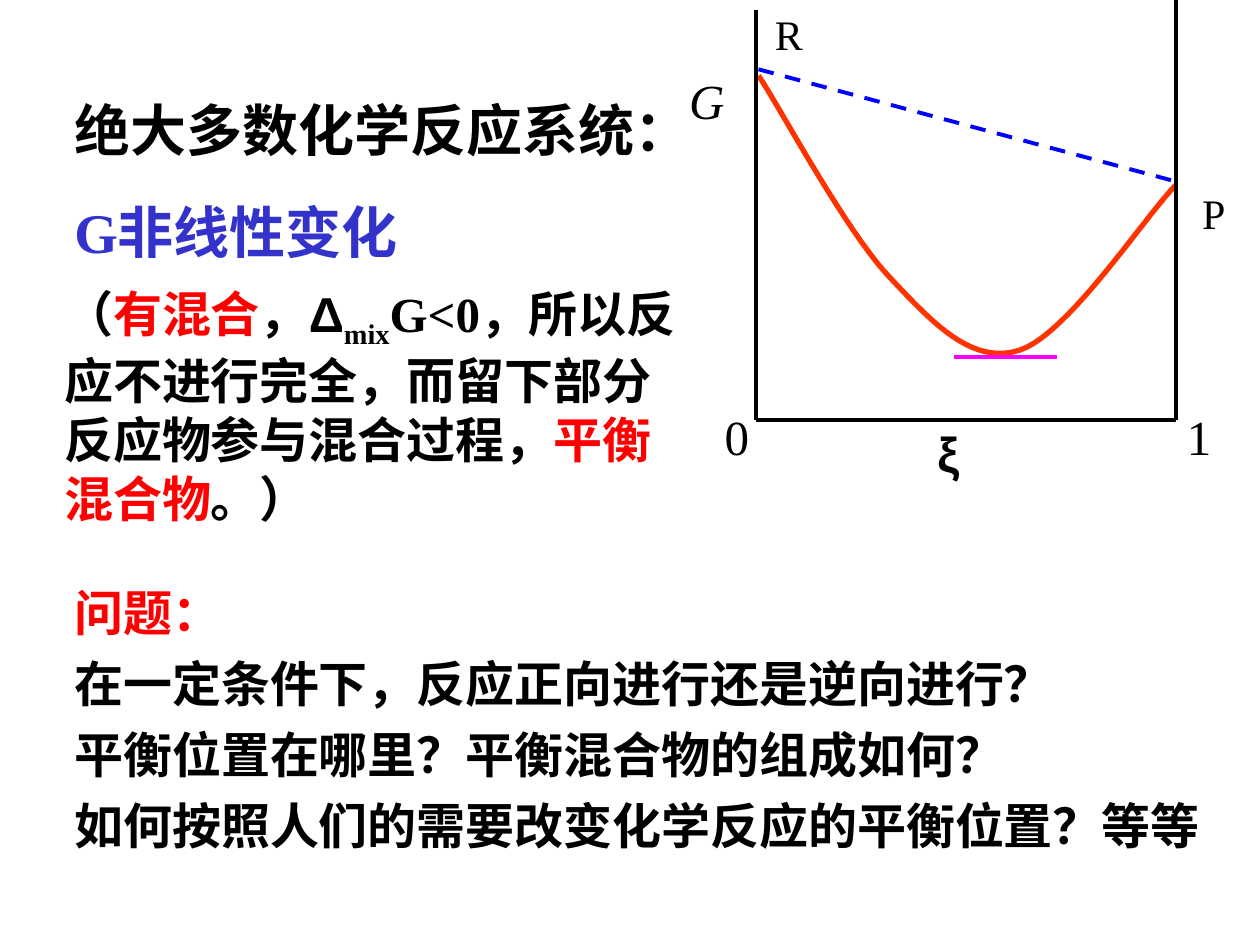
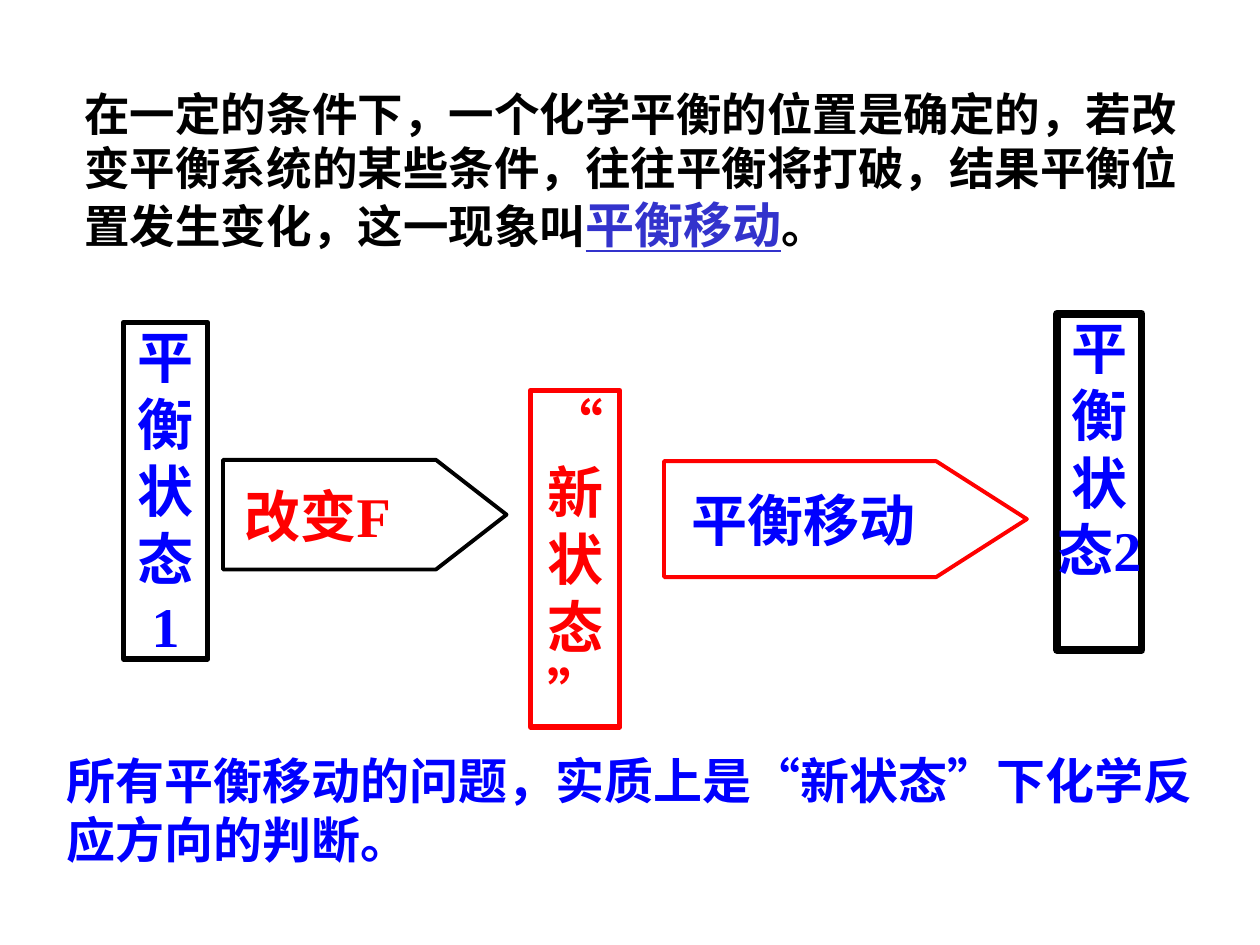
from lxml import etree
from pptx import Presentation
from pptx.dml.color import RGBColor
from pptx.enum.dml import MSO_LINE
from pptx.enum.lang import MSO_LANGUAGE_ID
from pptx.enum.shapes import MSO_CONNECTOR, MSO_SHAPE
from pptx.enum.text import MSO_ANCHOR, PP_ALIGN
from pptx.oxml.ns import qn
from pptx.util import Pt

PX = 9144  # 100 px to the inch
SERIF, SANS, CJK = "Times New Roman", "Arial", "Noto Sans CJK SC"
BLACK = RGBColor(0x00, 0x00, 0x00)
RED = RGBColor(0xFF, 0x00, 0x00)
BLUE = RGBColor(0x00, 0x00, 0xFF)
INDIGO = RGBColor(0x33, 0x33, 0xCC)
ORANGE = RGBColor(0xFF, 0x33, 0x00)
MAGENTA = RGBColor(0xFF, 0x00, 0xFF)
TOP, MIDDLE = MSO_ANCHOR.TOP, MSO_ANCHOR.MIDDLE
LEFT, CENTER = PP_ALIGN.LEFT, PP_ALIGN.CENTER
RECT, PENTAGON = MSO_SHAPE.RECTANGLE, MSO_SHAPE.PENTAGON
STRAIGHT, DASH = MSO_CONNECTOR.STRAIGHT, MSO_LINE.DASH
CHINESE = MSO_LANGUAGE_ID.SIMPLIFIED_CHINESE


def add_text(s, box, *paragraphs, preset=None, outline=BLACK, weight=3,
             anchor=TOP, align=LEFT, inset=0, gap=0, **fmt):
    """Add a text box, or an outlined preset shape, with text.

    A paragraph is a string or a list of (text, format) runs, where each
    run's format overrides fmt.
    """
    box = [v * PX for v in box]
    if preset is None:
        sp = s.shapes.add_textbox(*box)
    else:
        sp = s.shapes.add_shape(preset, *box)
        sp.shadow.inherit = False
        sp.fill.background()
        sp.line.color.rgb = outline
        sp.line.width = Pt(weight)
    tf = sp.text_frame
    tf.word_wrap = True
    tf.vertical_anchor = anchor
    tf.margin_left = inset * PX
    tf.margin_top = tf.margin_right = tf.margin_bottom = 0
    for i, runs in enumerate(paragraphs):
        p = tf.add_paragraph() if i else tf.paragraphs[0]
        p.alignment = align
        if i:
            p.space_before = Pt(gap)
        for text, own in [(runs, {})] if isinstance(runs, str) else runs:
            f = {"size": 28, "color": BLACK, "bold": True, "font": SERIF} | fmt | own
            r = p.add_run()
            r.text = text
            r.font.size = Pt(f["size"])
            r.font.bold = f["bold"]
            r.font.italic = f.get("italic")
            r.font.underline = f.get("underline")
            r.font.color.rgb = f["color"]
            r.font.name = f["font"]
            r.font.language_id = CHINESE
            rPr = r._r.get_or_add_rPr()
            etree.SubElement(rPr, qn("a:ea"), typeface=CJK)
            if f.get("subscript"):
                rPr.set("baseline", "-25000")
    return sp


def add_line(s, x1, y1, x2, y2, color=BLACK, dash=None):
    line = s.shapes.add_connector(STRAIGHT, x1 * PX, y1 * PX, x2 * PX, y2 * PX)
    line.line.color.rgb = color
    line.line.width = Pt(2.25)
    if dash:
        line.line.dash_style = dash
    etree.SubElement(line._element.spPr, qn("a:effectLst"))


prs = Presentation()
prs.slide_width, prs.slide_height = 1000 * PX, 750 * PX
blank = prs.slide_layouts[6]

# Slide 1: Gibbs energy against extent of reaction
s = prs.slides.add_slide(blank)
add_text(s, (59, 76, 606, 135), "绝大多数化学反应系统：",
         [("G非线性变化", {"color": INDIGO})], size=32, gap=20)

mixing_curve = [(602, 60),
                (620, 87), (671, 183), (706, 220),
                (740, 256), (771, 290), (809, 278),
                (847, 266), (907, 174), (933, 147)]
STEPS = 20
points = []
for k in range(0, len(mixing_curve) - 1, 3):
    for step in range(1, STEPS + 1):
        t = step / STEPS
        weights = ((1 - t) ** 3, 3 * t * (1 - t) ** 2, 3 * t * t * (1 - t), t ** 3)
        points.append([sum(w * pt[axis] for w, pt in zip(weights, mixing_curve[k:k + 4])) * PX
                       for axis in (0, 1)])
x, y = mixing_curve[0]
builder = s.shapes.build_freeform(x * PX, y * PX)
builder.add_line_segments(points, close=False)
curve = builder.convert_to_shape()
curve.shadow.inherit = False
curve.fill.background()
curve.line.color.rgb = ORANGE
curve.line.width = Pt(3)

add_line(s, 757, 283, 839, 283, MAGENTA)
add_line(s, 600, 8, 600, 333)
add_line(s, 600, 333, 933, 333)
add_line(s, 933, 0, 933, 333)
add_line(s, 602, 55, 933, 144, BLUE, DASH)

add_text(s, (744, 336, 102, 47), "ξ", font=SANS)
add_text(s, (547, 56, 67, 47), "G", bold=False, italic=True)
for text, x, y, size in (("0", 575, 323, 28), ("1", 942, 323, 28),
                         ("R", 615, 7, 24), ("P", 954, 149, 24)):
    add_text(s, (x, y, 42, 47), text, size=size, bold=False)

add_text(s, (51, 225, 504, 193), [
    ("（", {}),
    ("有混合", {"color": RED}),
    ("，", {}),
    ("Δ", {"font": SANS}),
    ("mix", {"subscript": True}),
    ("G<0，所以反应不进行完全，而留下部分反应物参与混合过程，", {}),
    ("平衡混合物", {"color": RED}),
    ("。）", {}),
])
add_text(s, (59, 462, 941, 216),
         [("问题：", {"color": RED})],
         "在一定条件下，反应正向进行还是逆向进行？",
         "平衡位置在哪里？平衡混合物的组成如何？",
         "如何按照人们的需要改变化学反应的平衡位置？等等",
         gap=7)

# Slide 2: shift of equilibrium
s = prs.slides.add_slide(blank)
add_text(s, (67, 68, 878, 133), [
    ("在一定的条件下，一个化学平衡的位置是确定的，若改变平衡系统的某些条件，"
     "往往平衡将打破，结果平衡位置发生变化，这一现象叫", {}),
    ("平衡移动", {"size": 28, "color": INDIGO, "underline": True}),
    ("。", {}),
], size=26)

for text, box, outline, weight, color in (
        ("平衡状态 1", (98, 256, 67, 267), BLACK, 3, BLUE),
        ("“新状态”", (421, 310, 71, 267), RED, 3, RED),
        ("平衡状态2", (839, 249, 67, 267), BLACK, 4.5, BLUE)):
    add_text(s, box, text, preset=RECT, outline=outline, weight=weight,
             align=CENTER, size=32, color=color)

for text, box, tip, inset, outline, color in (
        ("改变F", (177, 365, 225, 87), 56, 17, BLACK, RED),
        ("平衡移动", (527, 366, 288, 92), 72, 22, RED, BLUE)):
    arrow = add_text(s, box, text, preset=PENTAGON, outline=outline, weight=2.25,
                     anchor=MIDDLE, inset=inset, size=32, color=color)
    arrow.adjustments[0] = tip / box[3]

add_text(s, (53, 585, 894, 115),
         "所有平衡移动的问题，实质上是“新状态”下化学反应方向的判断。",
         anchor=MIDDLE, color=BLUE)

prs.save("out.pptx")
